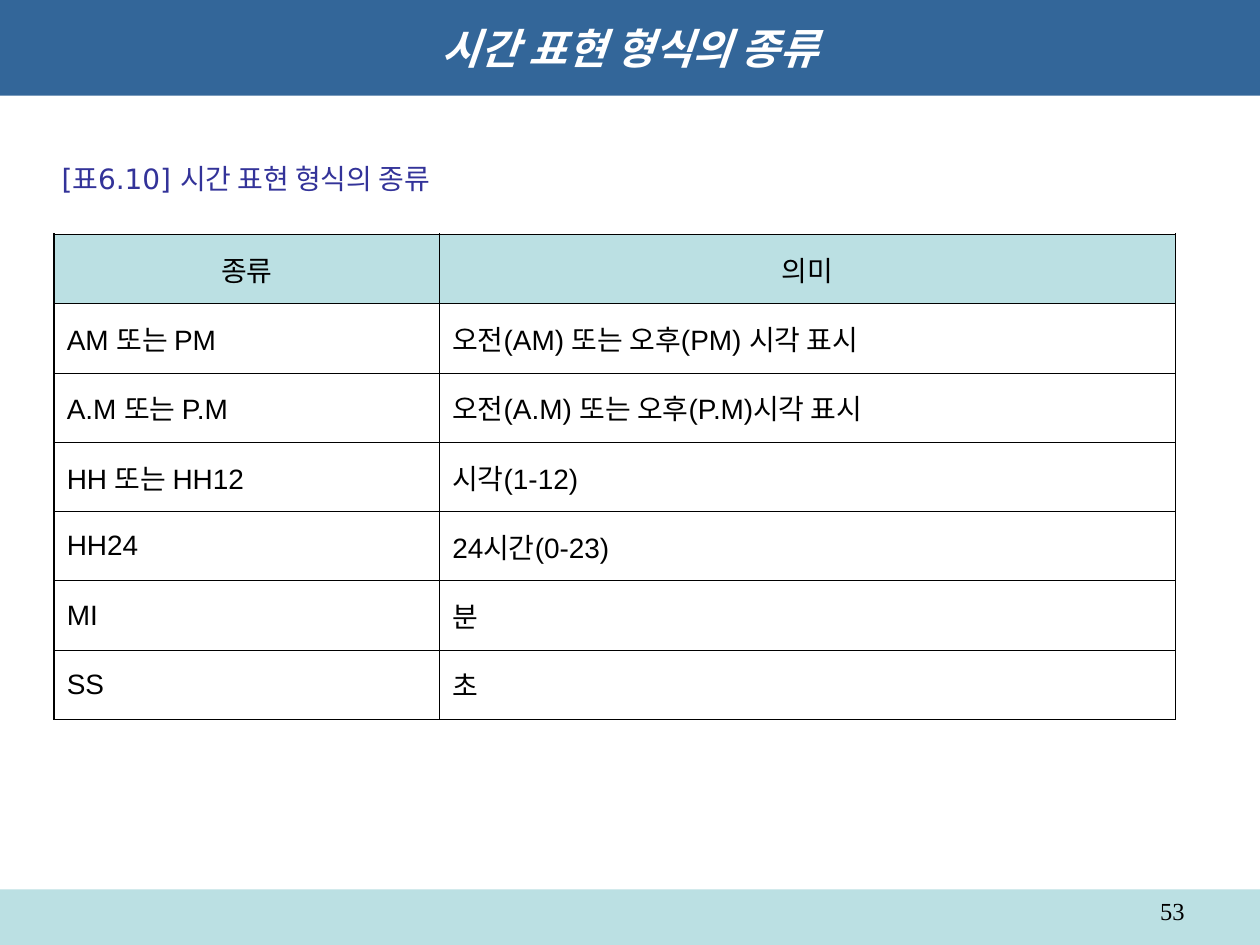
from typing import NamedTuple

from lxml.etree import SubElement
from pptx import Presentation
from pptx.dml.color import RGBColor
from pptx.enum.shapes import MSO_SHAPE as Shape
from pptx.enum.text import MSO_ANCHOR as Anchor, PP_ALIGN as Align
from pptx.oxml.ns import qn
from pptx.util import Inches, Pt

BLUE, PALE, WHITE, BLACK, INDIGO = "336699", "BBE0E3", "FFFFFF", "000000", "333399"
OUTER, INNER = 1.08, 0.45
COLUMN_WIDTHS = (3.06, 5.84)
ROW_HEIGHT = 0.55


class Box(NamedTuple):
    left: float
    top: float
    width: float
    height: float

    def lengths(self) -> list:
        return [Inches(value) for value in self]


class TimeFormat(NamedTuple):
    kind: str
    meaning: str


HEADER = TimeFormat("종류", "의미")
FORMATS = [
    TimeFormat("AM 또는 PM", "오전(AM) 또는 오후(PM) 시각 표시"),
    TimeFormat("A.M 또는 P.M", "오전(A.M) 또는 오후(P.M)시각 표시"),
    TimeFormat("HH 또는 HH12", "시각(1-12)"),
    TimeFormat("HH24", "24시간(0-23)"),
    TimeFormat("MI", "분"),
    TimeFormat("SS", "초"),
]


def rgb(color: str) -> RGBColor:
    return RGBColor.from_string(color)


def write(frame, text: str, *, size=16, font="Arial", color=BLACK,
          bold=False, italic=False, align=Align.LEFT) -> None:
    paragraph = frame.paragraphs[0]
    paragraph.alignment = align
    run = paragraph.add_run()
    run.text = text
    run.font.size, run.font.name = Pt(size), font
    run.font.bold, run.font.italic = bold, italic
    run.font.color.rgb = rgb(color)


def add_band(slide, box: Box, color: str):
    band = slide.shapes.add_shape(Shape.RECTANGLE, *box.lengths())
    band.shadow.inherit = False
    band.fill.solid()
    band.fill.fore_color.rgb = rgb(color)
    band.line.fill.background()
    return band


def add_text(slide, box: Box, text: str, *, anchor=Anchor.TOP, wrap=True, **style) -> None:
    frame = slide.shapes.add_textbox(*box.lengths()).text_frame
    frame.word_wrap = wrap
    frame.vertical_anchor = anchor
    write(frame, text, **style)


def set_borders(cell, left: float, right: float, top: float, bottom: float) -> None:
    properties = cell._tc.get_or_add_tcPr()
    for side, width in zip("LRTB", (left, right, top, bottom)):
        line = SubElement(properties, qn(f"a:ln{side}"), w=str(Pt(width)))
        fill = SubElement(line, qn("a:solidFill"))
        SubElement(fill, qn("a:srgbClr"), val=BLACK)


def add_format_table(slide, left: float, top: float) -> None:
    rows = [HEADER, *FORMATS]
    box = Box(left, top, sum(COLUMN_WIDTHS), ROW_HEIGHT * len(rows))
    table = slide.shapes.add_table(len(rows), len(COLUMN_WIDTHS), *box.lengths()).table
    for column, width in zip(table.columns, COLUMN_WIDTHS):
        column.width = Inches(width)
    last_row, last_column = len(rows) - 1, len(COLUMN_WIDTHS) - 1
    for r, row in enumerate(rows):
        table.rows[r].height = Inches(ROW_HEIGHT)
        for c, text in enumerate(row):
            cell = table.cell(r, c)
            set_borders(
                cell,
                left=OUTER if c == 0 else INNER,
                right=OUTER if c == last_column else INNER,
                top=OUTER if r == 0 else INNER,
                bottom=OUTER if r == last_row else INNER,
            )
            cell.vertical_anchor = Anchor.MIDDLE
            if r == 0:
                cell.fill.solid()
                cell.fill.fore_color.rgb = rgb(PALE)
            else:
                cell.fill.background()
            write(cell.text_frame, text, align=Align.CENTER if r == 0 else Align.LEFT)


def main() -> None:
    presentation = Presentation()
    presentation.slide_width, presentation.slide_height = Inches(10), Inches(7.5)
    slide = presentation.slides.add_slide(presentation.slide_layouts[6])

    add_band(slide, Box(0, 7.06, 10, 0.44), PALE)
    title = add_band(slide, Box(0, 0, 10, 0.76), BLUE)
    title.text_frame.vertical_anchor = Anchor.MIDDLE
    write(title.text_frame, "시간 표현 형식의 종류", size=24, font="DejaVu Sans",
          color=WHITE, bold=True, italic=True, align=Align.CENTER)

    add_format_table(slide, 0.43, 1.86)
    add_text(slide, Box(0.39, 1.23, 3.37, 0.37), "[표6.10] 시간 표현 형식의 종류",
             anchor=Anchor.MIDDLE, wrap=False, font="DejaVu Sans", color=INDIGO)
    add_text(slide, Box(7.17, 7.06, 2.33, 0.29), "53",
             size=14, font="Times New Roman", align=Align.RIGHT)

    presentation.save("out.pptx")


if __name__ == "__main__":
    main()
